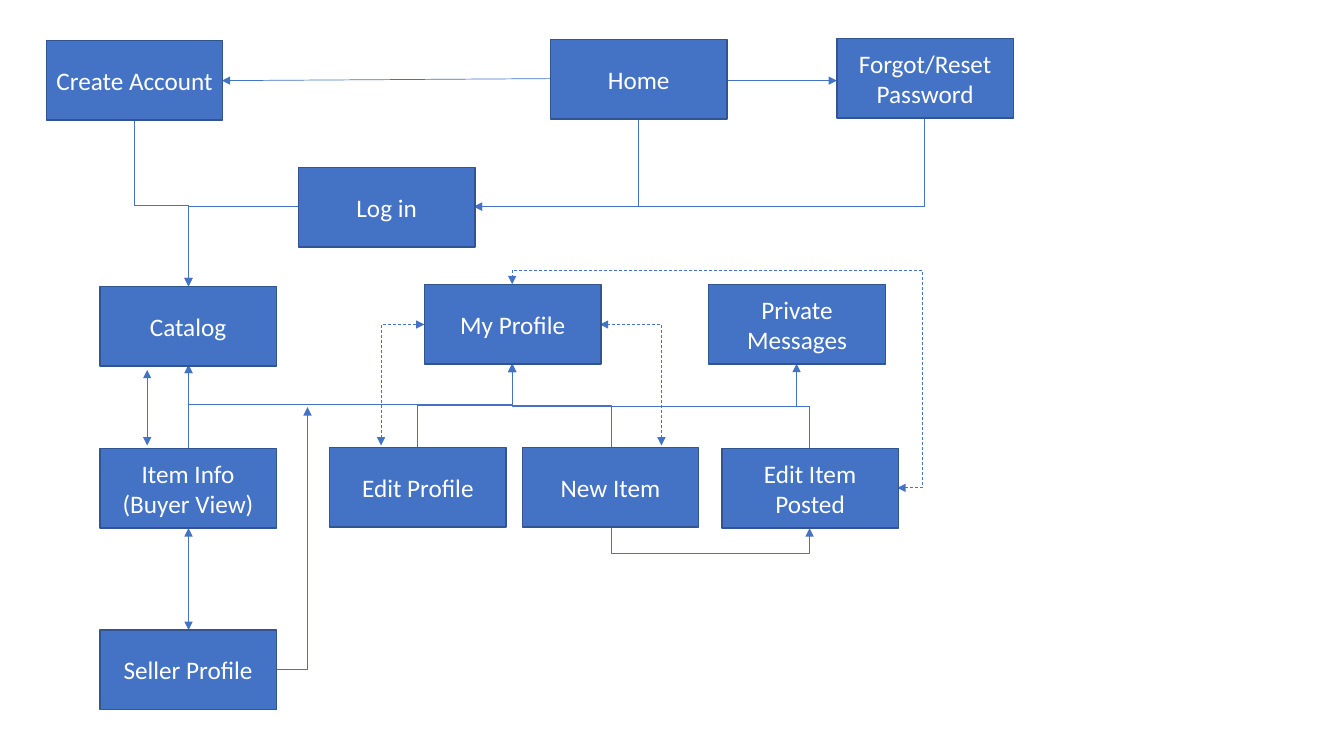
from lxml.etree import SubElement
from pptx import Presentation
from pptx.dml.color import RGBColor
from pptx.enum.dml import MSO_LINE
from pptx.enum.shapes import MSO_CONNECTOR, MSO_SHAPE
from pptx.enum.text import MSO_ANCHOR, PP_ALIGN
from pptx.oxml.ns import qn
from pptx.util import Inches, Pt

BLUE = RGBColor(0x44, 0x72, 0xC4)
DARK_BLUE = RGBColor(0x32, 0x54, 0x91)
WHITE = RGBColor(0xFF, 0xFF, 0xFF)

BOX_WIDTH, BOX_HEIGHT = 1.75, 0.79

# Shared axes of the links
CATALOG_X, PROFILE_X, NEW_ITEM_X, EDIT_ITEM_X = 1.87, 5.08, 6.06, 8.03
LOGIN_Y, PROFILE_Y, BUS_Y = 2.05, 3.22, 4.02
CATALOG_BOTTOM, PROFILE_BOTTOM = 3.62, 3.61

deck = Presentation()
deck.slide_width, deck.slide_height = Inches(13.33), Inches(7.5)
page = deck.slides.add_slide(deck.slide_layouts[6])


def add_link(points, arrows, dashed=False):
    """Connect the first point to the last, turning at the points between."""
    (x1, y1), (x2, y2) = points[0], points[-1]
    kind = MSO_CONNECTOR.STRAIGHT if len(points) == 2 else MSO_CONNECTOR.ELBOW
    link = page.shapes.add_connector(kind, Inches(x1), Inches(y1), Inches(x2), Inches(y2))
    props = link._element.spPr

    if len(points) > 2:
        geometry = props.find(qn("a:prstGeom"))
        geometry.set("prst", f"bentConnector{len(points) - 1}")
        starts_down = points[0][0] == points[1][0]

        # Each inner turn is a share of the span along its own axis
        guides = geometry.find(qn("a:avLst"))
        for number in range(1, len(points) - 2):
            axis = (number + starts_down + 1) % 2
            start, end = points[0][axis], points[-1][axis]
            share = round((points[number][axis] - start) / (end - start) * 100000)
            SubElement(guides, qn("a:gd"), name=f"adj{number}", fmla=f"val {share}")

        # A link that leaves vertically is a horizontal one turned on its side
        if starts_down:
            width, height = abs(y2 - y1), abs(x2 - x1)
            link.left, link.top = Inches((x1 + x2 - width) / 2), Inches((y1 + y2 - height) / 2)
            link.width, link.height = Inches(width), Inches(height)
            same_sign = (x2 > x1) == (y2 > y1)
            frame = props.find(qn("a:xfrm"))
            frame.set("rot", str((270 if same_sign else 90) * 60000))
            frame.set("flipH", str(int(x2 > x1)))
            frame.set("flipV", str(int(y2 < y1)))

    link.line.color.rgb = BLUE
    link.line.width = Pt(0.5)
    if dashed:
        link.line.dash_style = MSO_LINE.DASH
    for end in arrows:
        SubElement(props.find(qn("a:ln")), qn(f"a:{end}End"), type="triangle")
    SubElement(props, qn("a:effectLst"))


# Links: points and arrowheads
HEAD, TAIL, BOTH, NONE = ["head"], ["tail"], ["head", "tail"], []
links = [
    # Home, account and log in
    ([(5.46, 0.78), (2.2, 0.8)], TAIL),
    ([(7.21, 0.8), (8.3, 0.8)], TAIL),
    ([(6.33, 1.17), (6.33, LOGIN_Y), (4.7, LOGIN_Y)], TAIL),
    ([(9.17, 1.17), (9.17, LOGIN_Y), (4.7, LOGIN_Y)], TAIL),
    ([(2.96, LOGIN_Y), (CATALOG_X, LOGIN_Y), (CATALOG_X, 2.84)], TAIL),
    ([(1.33, 1.19), (1.33, 2.04), (CATALOG_X, 2.04), (CATALOG_X, 2.84)], TAIL),
    # Catalog, item info and seller
    ([(CATALOG_X, CATALOG_BOTTOM), (CATALOG_X, 4.45)], HEAD),
    ([(CATALOG_X, 5.24), (CATALOG_X, 6.25)], BOTH),
    ([(1.46, 4.42), (1.46, 3.67)], BOTH),
    ([(3.05, 4.04), (3.05, 6.64), (2.74, 6.64)], HEAD),
    ([(CATALOG_X, CATALOG_BOTTOM), (CATALOG_X, BUS_Y), (PROFILE_X, BUS_Y),
      (PROFILE_X, PROFILE_BOTTOM)], BOTH),
    # Profile, items and messages
    ([(PROFILE_X, PROFILE_BOTTOM), (PROFILE_X, BUS_Y), (4.14, BUS_Y), (4.14, 4.44)], HEAD),
    ([(PROFILE_X, PROFILE_BOTTOM), (PROFILE_X, BUS_Y), (NEW_ITEM_X, BUS_Y),
      (NEW_ITEM_X, 4.44)], NONE),
    ([(EDIT_ITEM_X, 4.45), (EDIT_ITEM_X, 4.03), (PROFILE_X, 4.03),
      (PROFILE_X, PROFILE_BOTTOM)], TAIL),
    ([(EDIT_ITEM_X, 4.45), (EDIT_ITEM_X, 4.03), (7.9, 4.03), (7.9, PROFILE_BOTTOM)], TAIL),
    ([(NEW_ITEM_X, 5.23), (NEW_ITEM_X, 5.49), (EDIT_ITEM_X, 5.49), (EDIT_ITEM_X, 5.24)], TAIL),
]
for points, arrows in links:
    add_link(points, arrows)

# Dashed links around the profile
dashed_links = [
    [(3.78, 4.42), (3.78, PROFILE_Y), (4.21, PROFILE_Y)],
    [(6.56, 4.42), (6.56, PROFILE_Y), (5.95, PROFILE_Y)],
    [(8.9, 4.84), (9.15, 4.84), (9.15, 2.68), (PROFILE_X, 2.68), (PROFILE_X, 2.82)],
]
for points in dashed_links:
    add_link(points, BOTH, dashed=True)

# Screens of the site
screens = [
    ("Home", 5.46, 0.39),
    ("Create Account", 0.46, 0.4),
    ("Forgot/Reset Password", 8.3, 0.38),
    ("Log in", 2.96, 1.66),
    ("Catalog", 0.99, 2.84),
    ("My Profile", 4.21, 2.82),
    ("Private Messages", 7.03, 2.82),
    ("Item Info (Buyer View)", 0.99, 4.45),
    ("Edit Profile", 3.27, 4.44),
    ("New Item", 5.18, 4.44),
    ("Edit Item Posted", 7.16, 4.45),
    ("Seller Profile", 0.99, 6.25),
]
for name, left, top in screens:
    box = page.shapes.add_shape(MSO_SHAPE.RECTANGLE, Inches(left), Inches(top),
                                Inches(BOX_WIDTH), Inches(BOX_HEIGHT))
    box.shadow.inherit = False
    box.fill.solid()
    box.fill.fore_color.rgb = BLUE
    box.line.color.rgb = DARK_BLUE
    box.line.width = Pt(1)
    box.text_frame.text = name
    box.text_frame.word_wrap = True
    box.text_frame.vertical_anchor = MSO_ANCHOR.MIDDLE
    para = box.text_frame.paragraphs[0]
    para.alignment = PP_ALIGN.CENTER
    para.font.name = "Calibri"
    para.font.size = Pt(18)
    para.font.color.rgb = WHITE

deck.save("out.pptx")
